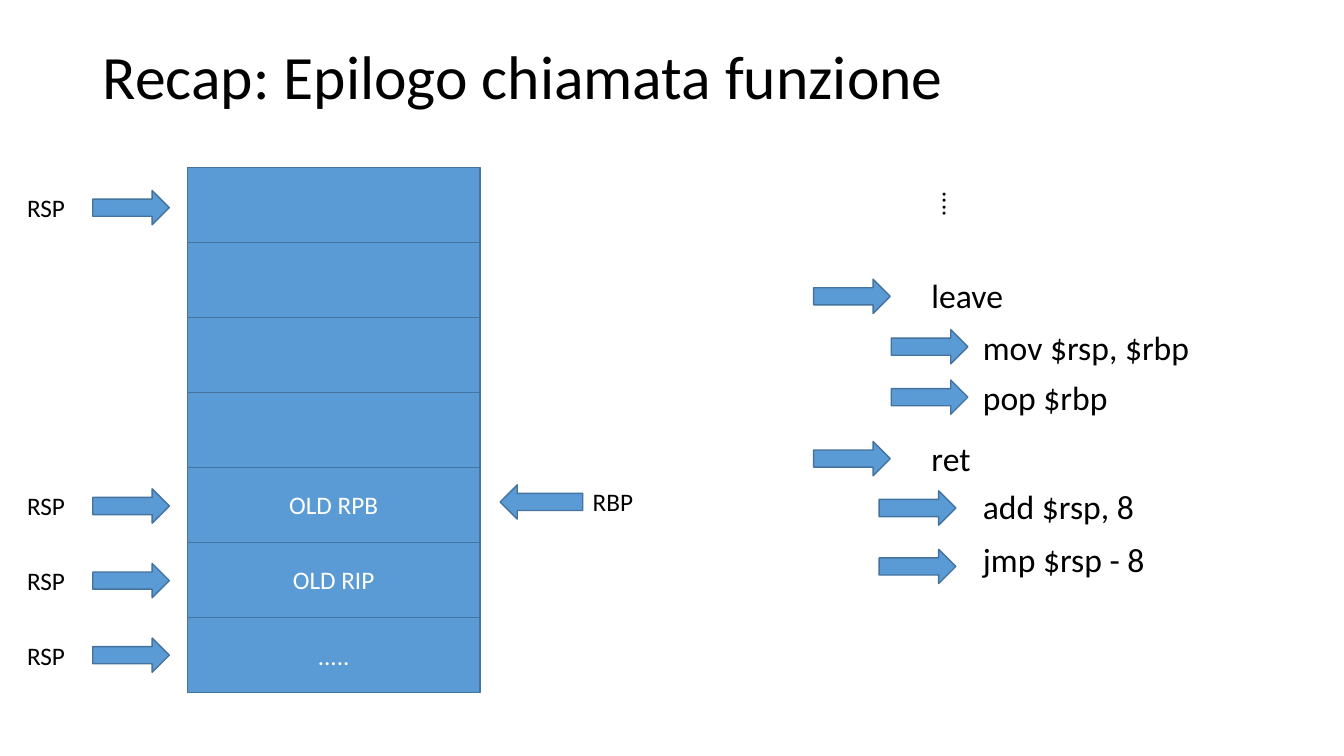
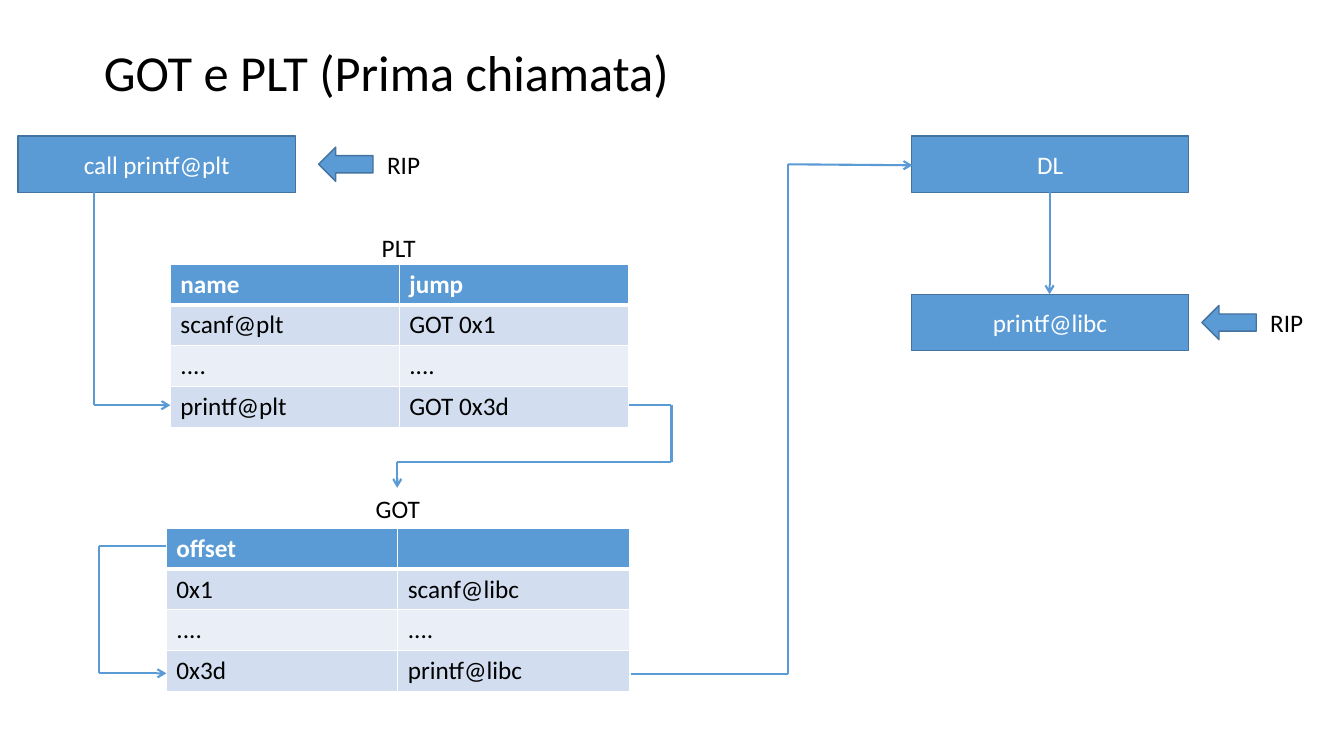
from pptx import Presentation
from pptx.dml.color import RGBColor
from pptx.enum.shapes import MSO_CONNECTOR, MSO_SHAPE
from pptx.enum.text import MSO_ANCHOR, MSO_AUTO_SIZE, PP_ALIGN
from pptx.oxml.ns import qn
from pptx.util import Emu, Pt
from lxml import etree

RECT, RIGHT, LEFT = MSO_SHAPE.RECTANGLE, MSO_SHAPE.RIGHT_ARROW, MSO_SHAPE.LEFT_ARROW
STRAIGHT = MSO_CONNECTOR.STRAIGHT
MID, TOP = MSO_ANCHOR.MIDDLE, MSO_ANCHOR.TOP
START, CENTER = PP_ALIGN.LEFT, PP_ALIGN.CENTER
FONT = "Calibri"
COLORS = {"blue": "5B9BD5", "edge": "43739E", "odd": "D2DEEF",
          "even": "EAEFF7", "white": "FFFFFF", "black": "000000"}
SCALE = 9144

STACK = ["", "", "", "", "OLD RPB", "OLD RIP", "....."]
STACK_BOX = (186, 166, 290, 521)
RSP_TOPS = [189, 485, 559, 633]
CODE = [
    ("leave", 914, 268, 807, 277),
    ("mov $rsp, $rbp", 965, 319, 884, 327),
    ("pop $rbp", 965, 369, 884, 377),
    ("ret", 914, 430, 807, 438),
    ("add $rsp, 8", 965, 477, 872, 487),
    ("jmp $rsp - 8", 965, 530, 872, 545),
]

STEPS = [("call printf@plt", 18, 135), ("DL", 904, 135), ("printf@libc", 904, 292)]
RIPS = [(316, 146), (1192, 303)]
TABLES = [
    ("PLT", (165, 226, 461, 40), (169, 262, 454, 162),
     [("name", "jump"), ("scanf@plt", "GOT 0x1"), ("....", "...."),
      ("printf@plt", "GOT 0x3d")]),
    ("GOT", (165, 484, 459, 40), (165, 524, 459, 162),
     [("offset", ""), ("0x1", "scanf@libc"), ("....", "...."),
      ("0x3d", "printf@libc")]),
]
ROUTES = [
    [(165, 542), (98, 542), (98, 668), (165, 668)],
    [(624, 402), (666, 402), (666, 458), (394, 458), (394, 484)],
    [(93, 190), (93, 402), (169, 402)],
    [(626, 669), (782, 669), (782, 163), (905, 164)],
    [(1041, 190), (1041, 292)],
]


def px(n):
    return Emu(round(n * SCALE))


def rgb(name):
    return RGBColor.from_string(COLORS[name])


def write(frame, text, size, color, align=START, bold=False):
    frame.text = text
    para = frame.paragraphs[0]
    para.alignment = align
    for font in [para.font] + [run.font for run in para.runs]:
        font.name, font.size, font.bold = FONT, Pt(size), bold
        font.color.rgb = rgb(color)
    return para


def add_page(deck, text, size, left, top):
    slide = deck.slides.add_slide(deck.slide_layouts[5])
    title = slide.shapes.title
    title.left, title.top, title.width, title.height = map(px, (left, top, 1150, 145))
    frame = title.text_frame
    write(frame, text, size, "black").line_spacing = 0.9
    frame.vertical_anchor = MID
    frame.word_wrap = True
    frame.auto_size = MSO_AUTO_SIZE.NONE
    return slide


def add_label(slide, text, box, size=18, align=START):
    label = slide.shapes.add_textbox(*map(px, box))
    frame = label.text_frame
    frame.word_wrap = True
    frame.vertical_anchor = TOP
    write(frame, text, size, "black", align)
    return label


def add_block(slide, kind, box, text=""):
    block = slide.shapes.add_shape(kind, *map(px, box))
    block.shadow.inherit = False
    block.fill.solid()
    block.fill.fore_color.rgb = rgb("blue")
    block.line.color.rgb = rgb("edge")
    block.line.width = Pt(1)
    if text:
        block.text_frame.vertical_anchor = MID
        write(block.text_frame, text, 18, "white", CENTER)


def add_route(slide, points):
    for start, end in zip(points, points[1:]):
        line = slide.shapes.add_connector(STRAIGHT, *map(px, start + end))
        line.line.color.rgb = rgb("blue")
        line.line.width = Pt(1.5)
        props = line.line._get_or_add_ln()
        if end == points[-1]:
            etree.SubElement(props, qn("a:tailEnd"), type="arrow")
        etree.SubElement(line._element.spPr, qn("a:effectLst"))


def set_edges(cell, row):
    widths = {"L": 1, "R": 1, "T": 3 if row == 1 else 1, "B": 3 if row == 0 else 1}
    props = cell._tc.get_or_add_tcPr()
    for index, (side, width) in enumerate(widths.items()):
        edge = etree.Element(qn("a:ln" + side), w=str(Pt(width)))
        fill = etree.SubElement(edge, qn("a:solidFill"))
        etree.SubElement(fill, qn("a:srgbClr"), val=COLORS["white"])
        props.insert(index, edge)


def add_grid(slide, box, rows):
    grid = slide.shapes.add_table(len(rows), len(rows[0]), *map(px, box)).table
    for col in grid.columns:
        col.width = px(box[2] / len(rows[0]))
    for r, texts in enumerate(rows):
        grid.rows[r].height = px(box[3] / len(rows))
        for c, text in enumerate(texts):
            cell = grid.cell(r, c)
            cell.fill.solid()
            cell.fill.fore_color.rgb = rgb("blue" if r == 0 else "odd" if r % 2 else "even")
            write(cell.text_frame, text, 18, "black" if r else "white", bold=r == 0)
            set_edges(cell, r)


def add_recap(deck):
    slide = add_page(deck, "Recap: Epilogo chiamata funzione", 44, 92, 6)
    left, top, width, height = STACK_BOX
    step = height / len(STACK)
    for i, text in enumerate(STACK):
        add_block(slide, RECT, (left, top + i * step, width, step), text)
    for y in RSP_TOPS:
        add_block(slide, RIGHT, (92, y, 76, 34))
        add_label(slide, "RSP", (17, y - 3, 74, 40))
    add_block(slide, LEFT, (496, 481, 82, 34))
    add_label(slide, "RBP", (578, 478, 74, 40))
    for text, x, y, tip_x, tip_y in CODE:
        add_label(slide, text, (x, y, 328, 50), 24)
        add_block(slide, RIGHT, (tip_x, tip_y, 76, 34))
    dots = add_label(slide, "....", (915, 180, 50, 47))
    dots.text_frame._txBody.bodyPr.set("vert", "eaVert")


def add_calls(deck):
    slide = add_page(deck, "GOT e PLT (Prima chiamata)", 36, 93, 2)
    for text, x, y in STEPS:
        add_block(slide, RECT, (x, y, 275, 56), text)
    for x, y in RIPS:
        add_block(slide, LEFT, (x, y, 54, 34))
        add_label(slide, "RIP", (x + 58, y - 3, 68, 40))
    for name, label, box, rows in TABLES:
        add_label(slide, name, label, align=CENTER)
        add_grid(slide, box, rows)
    for points in ROUTES:
        add_route(slide, points)


def main():
    deck = Presentation()
    deck.slide_width, deck.slide_height = px(1333), px(750)
    add_recap(deck)
    add_calls(deck)
    deck.save("out.pptx")


if __name__ == "__main__":
    main()
